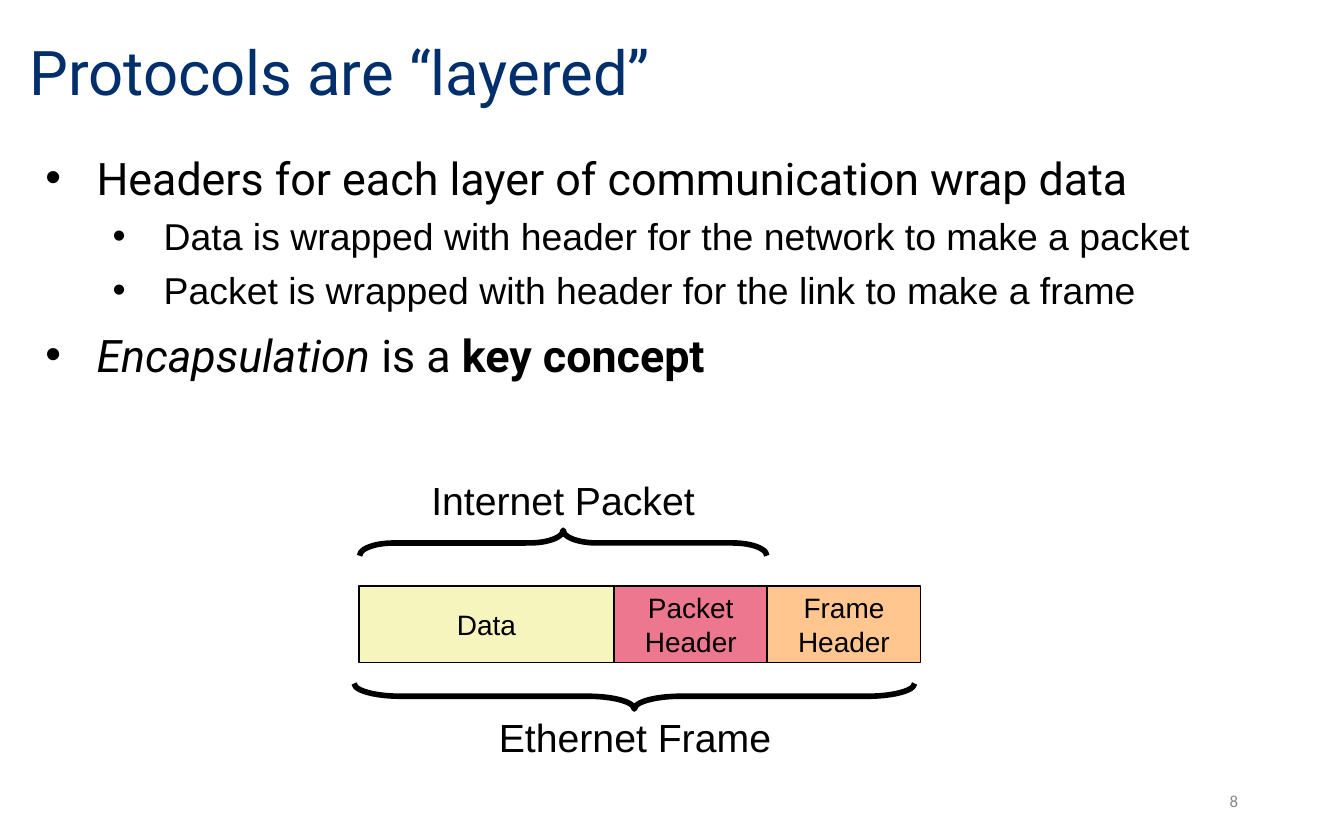
from dataclasses import dataclass

from lxml.etree import SubElement
from pptx import Presentation
from pptx.dml.color import RGBColor
from pptx.enum.shapes import MSO_SHAPE
from pptx.enum.text import MSO_ANCHOR, PP_ALIGN
from pptx.oxml.ns import qn
from pptx.util import Inches, Pt

COLORS = {
    "title": "002F6C",
    "black": "000000",
    "number": "888888",
    "data": "F6F5BD",
    "packet": "ED778E",
    "frame": "FFC78F",
}


@dataclass
class Label:
    text: str
    left: float
    top: float
    width: float
    height: float
    size: float
    font: str = "Arial"
    color: str = "black"
    align: PP_ALIGN = PP_ALIGN.CENTER
    wrap: bool = False


@dataclass
class Bullet:
    runs: list[tuple[str, str]]
    level: int = 0


@dataclass
class Field:
    text: str
    width: float
    color: str


@dataclass
class Brace:
    center_x: float
    center_y: float
    length: float
    rotation: int
    curve: float


LABELS = [
    Label("Protocols are “layered”", 0.12, 0.1, 8.52, 0.86, 33, "Roboto", "title", PP_ALIGN.LEFT, True),
    Label("8", 7.06, 5.79, 2.25, 0.33, 9, "Calibri", "number", PP_ALIGN.RIGHT, True),
    Label("Internet Packet", 3.1, 3.49, 2.18, 0.45, 21),
    Label("Ethernet Frame", 3.6, 5.26, 2.25, 0.45, 21),
]
BULLETS = [
    Bullet([("Headers for each layer of communication wrap data", "")]),
    Bullet([("Data is wrapped with header for the network to make a packet", "")], 1),
    Bullet([("Packet is wrapped with header for the link to make a frame", "")], 1),
    Bullet([("Encapsulation", "italic"), (" is a ", ""), ("key concept", "bold")]),
]
LEVEL_STYLES = [("Roboto", 24, 8.5), ("Arial", 20, 4.8)]
FIELDS = [
    Field("Data", 1.9, "data"),
    Field("Packet\nHeader", 1.14, "packet"),
    Field("Frame\nHeader", 1.14, "frame"),
]
FIELDS_LEFT, FIELDS_TOP, FIELDS_HEIGHT = 2.67, 4.36, 0.57
BRACES = [Brace(4.19, 4.04, 3.03, 90, 1.33), Brace(4.72, 5.18, 4.17, 270, 1.83)]
BRACE_DEPTH = 0.19


def rgb(name: str) -> RGBColor:
    return RGBColor.from_string(COLORS[name])


def style_font(paragraph, name: str, size: float, color: str) -> None:
    paragraph.font.name = name
    paragraph.font.size = Pt(size)
    paragraph.font.color.rgb = rgb(color)


def outline(shape, width: float) -> None:
    shape.shadow.inherit = False
    shape.line.color.rgb = rgb("black")
    shape.line.width = Pt(width)


def add_label(slide, label: Label) -> None:
    box = slide.shapes.add_textbox(
        Inches(label.left), Inches(label.top), Inches(label.width), Inches(label.height)
    )
    frame = box.text_frame
    frame.word_wrap = label.wrap
    frame.vertical_anchor = MSO_ANCHOR.MIDDLE
    paragraph = frame.paragraphs[0]
    paragraph.text = label.text
    paragraph.alignment = label.align
    style_font(paragraph, label.font, label.size, label.color)


def add_bullets(slide, bullets: list[Bullet]) -> None:
    box = slide.shapes.add_textbox(Inches(0.12), Inches(1.07), Inches(9.77), Inches(4.58))
    frame = box.text_frame
    frame.word_wrap = True
    for index, bullet in enumerate(bullets):
        paragraph = frame.add_paragraph() if index else frame.paragraphs[0]
        name, size, space = LEVEL_STYLES[bullet.level]
        paragraph.level = bullet.level
        paragraph.space_before = Pt(space if index else 0)
        properties = paragraph._p.get_or_add_pPr()
        properties.set("marL", str(Inches(0.5 * (bullet.level + 1))))
        properties.set("indent", str(Inches(-0.38)))
        SubElement(properties, qn("a:buFont"), typeface="Arial")
        SubElement(properties, qn("a:buChar"), char="•")
        style_font(paragraph, name, size, "black")
        for text, emphasis in bullet.runs:
            run = paragraph.add_run()
            run.text = text
            if emphasis == "italic":
                run.font.italic = True
            elif emphasis == "bold":
                run.font.bold = True


def add_fields(slide, fields: list[Field]) -> None:
    left = FIELDS_LEFT
    for field in fields:
        shape = slide.shapes.add_shape(
            MSO_SHAPE.RECTANGLE,
            Inches(left), Inches(FIELDS_TOP), Inches(field.width), Inches(FIELDS_HEIGHT),
        )
        outline(shape, 1)
        shape.fill.solid()
        shape.fill.fore_color.rgb = rgb(field.color)
        shape.text_frame.word_wrap = False
        shape.text_frame.vertical_anchor = MSO_ANCHOR.MIDDLE
        paragraph = shape.text_frame.paragraphs[0]
        paragraph.text = field.text
        paragraph.alignment = PP_ALIGN.CENTER
        style_font(paragraph, "Arial", 15, "black")
        left += field.width


def add_brace(slide, brace: Brace) -> None:
    shape = slide.shapes.add_shape(
        MSO_SHAPE.LEFT_BRACE,
        Inches(brace.center_x - BRACE_DEPTH / 2), Inches(brace.center_y - brace.length / 2),
        Inches(BRACE_DEPTH), Inches(brace.length),
    )
    shape.rotation = brace.rotation
    shape.adjustments[0] = brace.curve
    shape.fill.background()
    outline(shape, 3)


def main() -> None:
    presentation = Presentation()
    presentation.slide_width = Inches(10)
    presentation.slide_height = Inches(6.25)
    slide = presentation.slides.add_slide(presentation.slide_layouts[6])
    for label in LABELS:
        add_label(slide, label)
    add_bullets(slide, BULLETS)
    add_fields(slide, FIELDS)
    for brace in BRACES:
        add_brace(slide, brace)
    presentation.save("out.pptx")


if __name__ == "__main__":
    main()
